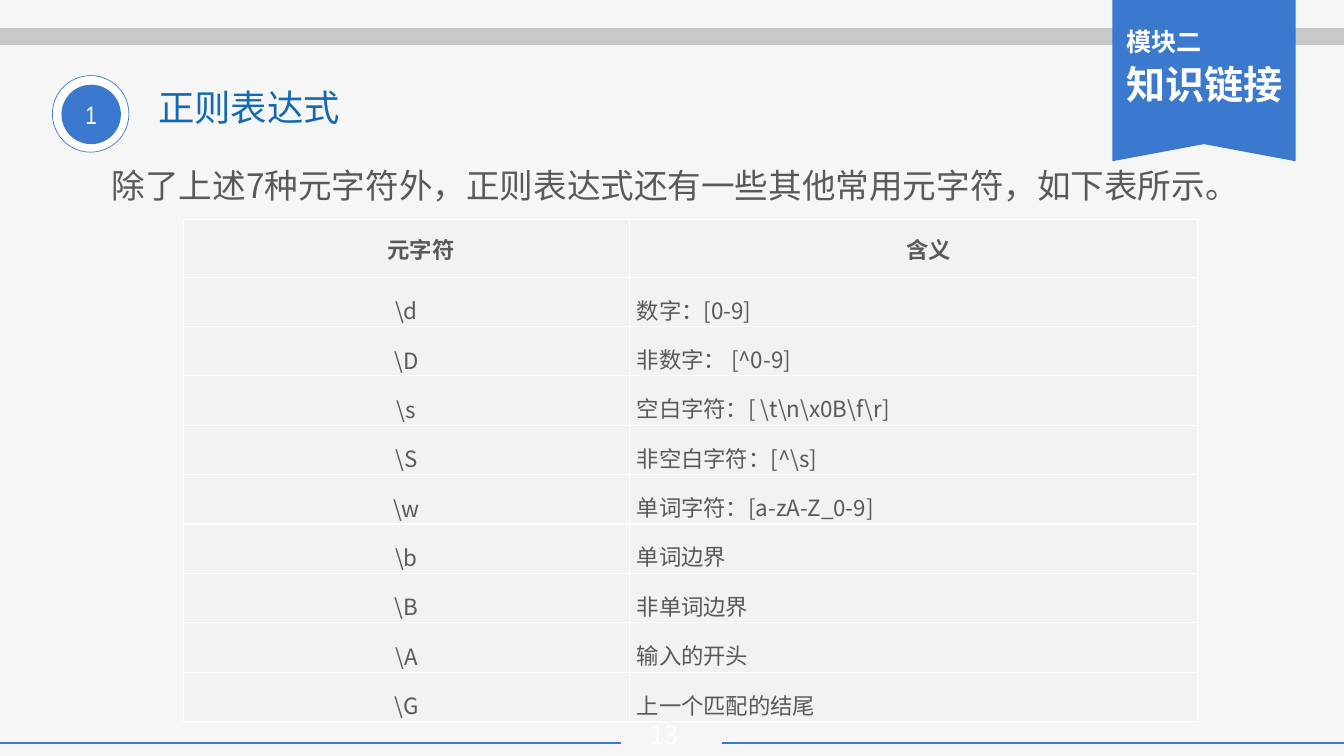
"""Build the slide that lists further regex metacharacters in a table."""
from lxml import etree
from pptx import Presentation, util as u
from pptx.dml.color import RGBColor
from pptx.enum import shapes, text
from pptx.oxml import ns

PX = 9144
BLUE = RGBColor(0x3B, 0x79, 0xCE)
TITLE = RGBColor(0x13, 0x69, 0xB2)
WHITE = RGBColor(0xFF, 0xFF, 0xFF)
PALE = RGBColor(0xF6, 0xF6, 0xF6)
CELL = RGBColor(0xF2, 0xF2, 0xF2)
BAND = RGBColor(0xC8, 0xC8, 0xC8)
GREY = RGBColor(0x59, 0x59, 0x59)
SANS = "Noto Sans CJK SC"
LEFT, MID = text.PP_ALIGN.LEFT, text.PP_ALIGN.CENTER
TOP, CENTER = text.MSO_ANCHOR.TOP, text.MSO_ANCHOR.MIDDLE


def px(*nums):
    return [u.Emu(n * PX) for n in nums]


def write(frame, words, size, color, face=SANS, bold=False, align=LEFT,
          anchor=TOP, line=1.0, before=0, after=0, indent=0):
    frame.word_wrap = True
    frame.vertical_anchor = anchor
    for i, word in enumerate(words.split("\n")):
        para = frame.paragraphs[0] if i == 0 else frame.add_paragraph()
        props = para._p.get_or_add_pPr()
        props.set("marL", "0")
        props.set("indent", str(indent * PX))
        etree.SubElement(props, ns.qn("a:buNone"))
        para.alignment, para.line_spacing = align, line
        para.space_before, para.space_after = u.Pt(before), u.Pt(after)
        run = para.add_run()
        run.text = word
        font = run.font
        font.size, font.bold, font.name = u.Pt(size), bold, face
        font.color.rgb = color
        east = etree.SubElement(run._r.get_or_add_rPr(), ns.qn("a:ea"))
        east.set("typeface", face)


deck = Presentation()
deck.slide_width, deck.slide_height = px(1334, 750)
slide = deck.slides.add_slide(deck.slide_layouts[1])
slide.background.fill.solid()
slide.background.fill.fore_color.rgb = PALE
items = slide.shapes

for x1, x2, y, color, width in [
        (717, 1334, 737, BLUE, 1.77),
        (0, 616, 737, BLUE, 1.77),
        (0, 1334, 36, BAND, 12)]:
    rule = items.add_connector(shapes.MSO_CONNECTOR.STRAIGHT, *px(x1, y, x2, y))
    rule.line.color.rgb = color
    rule.line.width = u.Pt(width)
    etree.SubElement(rule._element.spPr, ns.qn("a:effectLst"))

pen = items.build_freeform(1104, 0, scale=PX)
pen.add_line_segments([(1286, 0), (1286, 160), (1195, 143), (1104, 160)])
flag = pen.convert_to_shape()
flag.shadow.inherit = False
flag.fill.solid()
flag.fill.fore_color.rgb = BLUE
flag.line.fill.background()

for x, y, side, color in [(52, 75, 76, WHITE), (61, 84, 59, BLUE)]:
    disc = items.add_shape(shapes.MSO_SHAPE.OVAL, *px(x, y, side, side))
    disc.shadow.inherit = False
    disc.fill.solid()
    disc.fill.fore_color.rgb = color
    disc.line.color.rgb = BLUE
    disc.line.width = u.Pt(0.5)
disc.line.fill.background()
write(disc.text_frame, "1", 18, WHITE, face="Arial Narrow", align=MID, anchor=CENTER)

head = items.title
head.left, head.top, head.width, head.height = px(147, 84, 353, 47)
head.text_frame.auto_size = text.MSO_AUTO_SIZE.NONE
write(head.text_frame, "正则表达式", 26, TITLE, line=0.9)

body = slide.placeholders[1]
body.left, body.top, body.width, body.height = px(101, 139, 1218, 92)
body.text_frame.auto_size = text.MSO_AUTO_SIZE.NONE
write(body.text_frame, "除了上述7种元字符外，正则表达式还有一些其他常用元字符，如下表所示。",
      24, GREY, line=1.5)

badge = items.add_textbox(*px(1108, 21, 178, 92)).text_frame
write(badge, "模块二\n知识链接", 18, WHITE, bold=True, after=3)
badge.paragraphs[1].runs[0].font.size = u.Pt(28)

page = items.add_textbox(*px(616, 708, 87, 42)).text_frame
write(page, "13", 18, WHITE, align=MID, anchor=CENTER)

rows = [
    ("元字符", "含义"),
    (r"\d", "数字：[0-9]"),
    (r"\D", "非数字： [^0-9]"),
    (r"\s", r"空白字符：[ \t\n\x0B\f\r]"),
    (r"\S", r"非空白字符：[^\s]"),
    (r"\w", "单词字符：[a-zA-Z_0-9]"),
    (r"\b", "单词边界"),
    (r"\B", "非单词边界"),
    (r"\A", "输入的开头"),
    (r"\G", "上一个匹配的结尾"),
]
grid = items.add_table(len(rows), 2, *px(182, 218, 1007, 498)).table
grid.first_row = grid.horz_banding = False
grid.columns[0].width, grid.columns[1].width = px(443, 564)
for r, row in enumerate(rows):
    top = r == 0
    grid.rows[r].height = px(57 if top else 49)[0]
    for c, words in enumerate(row):
        cell = grid.cell(r, c)
        cell.margin_left, cell.margin_right = px(7, 7)
        cell.margin_top = cell.margin_bottom = 0
        props = cell._tc.get_or_add_tcPr()
        for edge in ("lnL", "lnR", "lnT", "lnB"):
            line = etree.SubElement(props, ns.qn("a:" + edge), w=str(u.Pt(1)))
            fill = etree.SubElement(line, ns.qn("a:solidFill"))
            etree.SubElement(fill, ns.qn("a:srgbClr"), val=str(WHITE))
        cell.fill.solid()
        cell.fill.fore_color.rgb = CELL
        write(cell.text_frame, words, 16, GREY, bold=top,
              align=MID if top or c == 0 else LEFT,
              line=1.0 if top else 1.5, indent=29 if top else 0)
        cell.vertical_anchor = CENTER if top or c == 0 else TOP

deck.save("out.pptx")
